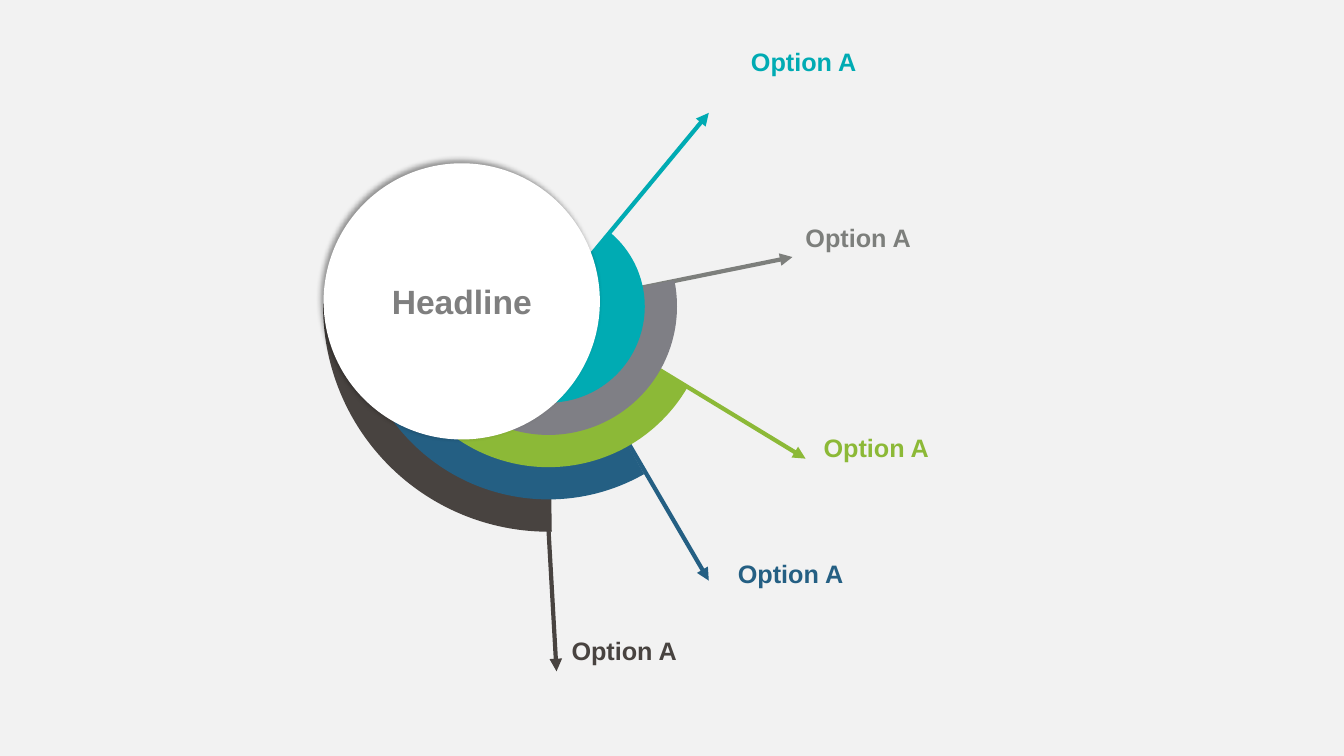
from dataclasses import dataclass

from lxml.etree import SubElement
from pptx import Presentation
from pptx.dml.color import RGBColor
from pptx.enum.shapes import MSO_CONNECTOR, MSO_SHAPE
from pptx.enum.text import MSO_AUTO_SIZE, PP_ALIGN
from pptx.oxml.ns import qn
from pptx.util import Inches, Pt

COLORS = {
    "background": "F2F2F2",
    "cover": "FFFFFF",
    "headline": "7F7F7F",
    "shadow": "000000",
    "teal": "00ABB3",
    "gray": "7D7F7C",
    "gray_pie": "7F7F85",
    "green": "8CB937",
    "blue": "245F83",
    "brown": "484340",
}
FONT = "Arial"
PIE_END = 180.7
INNER_DIAMETER, DIAMETER_STEP = 1.91, 0.64
COVER_DIAMETER = 2.74


@dataclass
class Option:
    """One ring with its arrow and label; points are offsets from the dial centre."""
    text: str
    color: str
    pie_color: str
    start_angle: float
    arrow_root: tuple
    arrow_tip: tuple
    label_at: tuple


# From the innermost ring to the outermost
OPTIONS = [
    Option("Option A", "teal", "teal", 309.1, (0, 0), (1.59, -1.92), (1.91, -2.63)),
    Option("Option A", "gray", "gray_pie", 348.2, (0, 0), (2.42, -0.49), (2.45, -0.88)),
    Option("Option A", "green", "green", 30.53, (-0.05, -0.07), (2.55, 1.51), (2.63, 1.2)),
    Option("Option A", "blue", "blue", 60.29, (0, 0), (1.59, 2.72), (1.78, 2.45)),
    Option("Option A", "brown", "brown", 89.16, (-0.13, -0.09), (0.08, 3.62), (0.13, 3.21)),
]


def rgb(name):
    return RGBColor.from_string(COLORS[name])


def shifted(centre, offset):
    return centre[0] + offset[0], centre[1] + offset[1]


def add_disc(shapes, preset, centre, diameter, color):
    left, top = shifted(centre, (-diameter / 2, -diameter / 2))
    disc = shapes.add_shape(preset, Inches(left), Inches(top),
                            Inches(diameter), Inches(diameter))
    disc.shadow.inherit = False
    disc.fill.solid()
    disc.fill.fore_color.rgb = rgb(color)
    disc.line.fill.background()
    return disc


def add_arrow(shapes, root, tip, color):
    arrow = shapes.add_connector(MSO_CONNECTOR.STRAIGHT,
                                 *(Inches(value) for value in (*root, *tip)))
    arrow.line.width = Pt(3)
    arrow.line.color.rgb = rgb(color)
    properties = arrow._element.spPr
    SubElement(properties.find(qn("a:ln")), qn("a:tailEnd"), type="triangle")
    SubElement(properties, qn("a:effectLst"))


def add_cover_shadow(cover):
    effects = cover._element.spPr.find(qn("a:effectLst"))
    shadow = SubElement(effects, qn("a:outerShdw"), blurRad=str(Pt(4)),
                        dist=str(Pt(3)), dir=str(225 * 60000),
                        algn="br", rotWithShape="0")
    tone = SubElement(shadow, qn("a:srgbClr"), val=COLORS["shadow"])
    SubElement(tone, qn("a:alpha"), val="40000")


def add_text(shapes, box, text, size, color, align=PP_ALIGN.LEFT):
    frame = shapes.add_textbox(*(Inches(value) for value in box)).text_frame
    frame.word_wrap = True
    frame.auto_size = MSO_AUTO_SIZE.SHAPE_TO_FIT_TEXT
    frame.text = text
    paragraph = frame.paragraphs[0]
    paragraph.alignment = align
    font = paragraph.runs[0].font
    font.name, font.size, font.bold = FONT, Pt(size), True
    font.color.rgb = rgb(color)


def add_dial(slide, centre, cover_centre):
    """Stack the rings from largest to smallest, each over its arrow, then the cover."""
    shapes = slide.shapes.add_group_shape().shapes
    for ring, option in reversed(list(enumerate(OPTIONS))):
        add_arrow(shapes, shifted(centre, option.arrow_root),
                  shifted(centre, option.arrow_tip), option.color)
        pie = add_disc(shapes, MSO_SHAPE.PIE, centre,
                       INNER_DIAMETER + ring * DIAMETER_STEP, option.pie_color)
        # A unit of adjustment is 100000 sixty-thousandths of a degree
        pie.adjustments[0] = option.start_angle * 0.6
        pie.adjustments[1] = PIE_END * 0.6
    add_cover_shadow(add_disc(shapes, MSO_SHAPE.OVAL, cover_centre,
                              COVER_DIAMETER, "cover"))


def add_labels(slide, centre):
    for option in OPTIONS:
        add_text(slide.shapes, (*shifted(centre, option.label_at), 2.42, 0.4),
                 option.text, 18, option.color)


def add_headline(slide, cover_centre):
    width, height = 1.65, 0.5
    left, top = shifted(cover_centre, (-width / 2, -height / 2))
    add_text(slide.shapes, (left, top, width, height),
             "Headline", 24, "headline", PP_ALIGN.CENTER)


def add_options_slide(deck, centre):
    slide = deck.slides.add_slide(deck.slide_layouts[6])
    slide.background.fill.solid()
    slide.background.fill.fore_color.rgb = rgb("background")
    cover_centre = shifted(centre, (-0.86, -0.05))
    add_dial(slide, centre, cover_centre)
    add_labels(slide, centre)
    add_headline(slide, cover_centre)


def main():
    deck = Presentation()
    deck.slide_width, deck.slide_height = Inches(13.33), Inches(7.5)
    add_options_slide(deck, (5.44, 3.04))
    deck.save("out.pptx")


if __name__ == "__main__":
    main()
